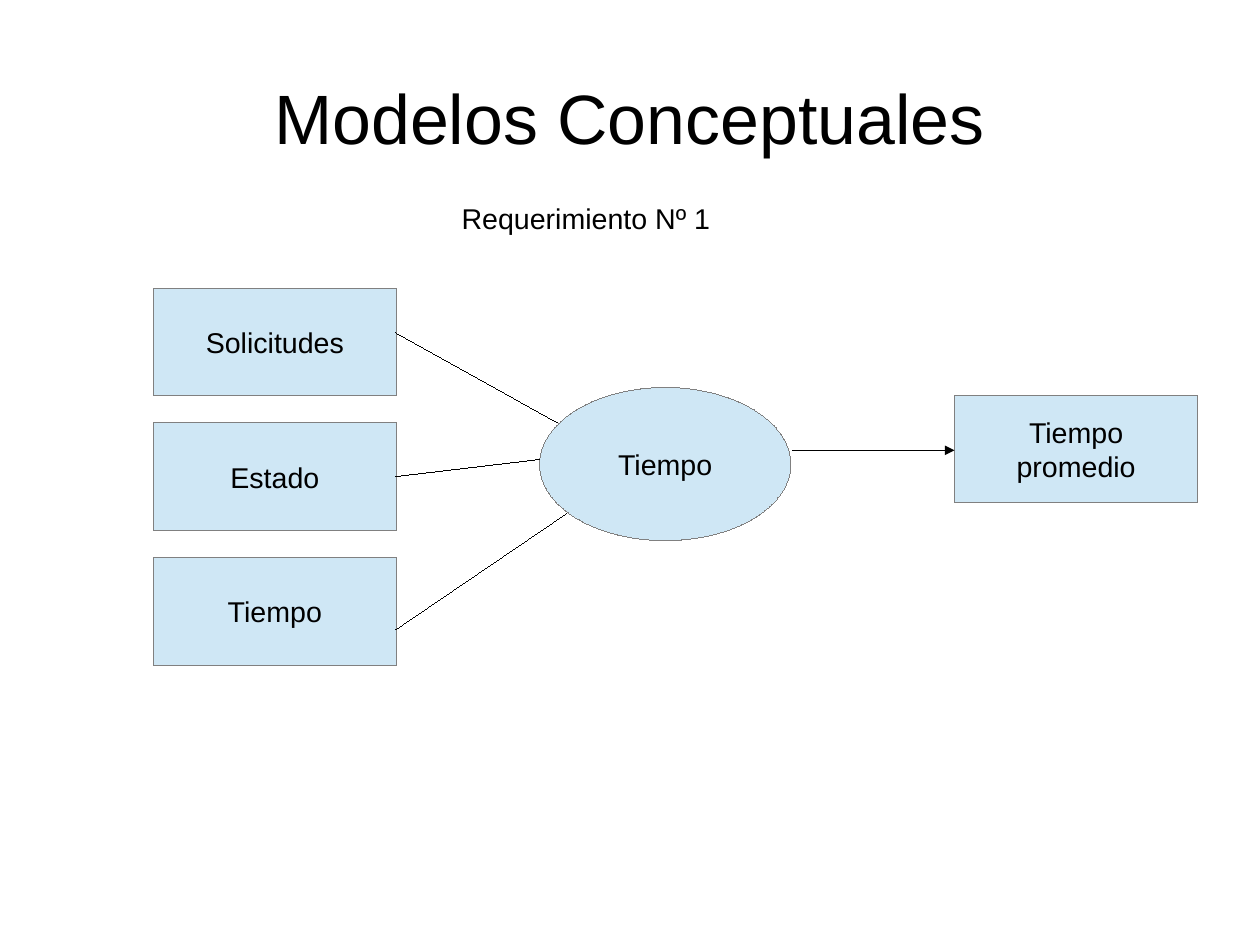
"""Build the conceptual model slide for the first requirement."""
from lxml import etree
from pptx import Presentation
from pptx.dml.color import RGBColor
from pptx.enum import shapes, text
from pptx.oxml import ns
from pptx.util import Inches, Pt

BLACK = RGBColor(0x00, 0x00, 0x00)
GRAY = RGBColor(0x80, 0x80, 0x80)
PALE_BLUE = RGBColor(0xCF, 0xE7, 0xF5)
FONT = "Arial"
CM_PER_INCH = 2.54
BOX_SIZE = (2.13, 0.94)
INPUT_LEFT, INPUT_TOP, INPUT_STEP = 1.34, 2.52, 1.18
INPUTS = ("Solicitudes", "Estado", "Tiempo")
INPUT_LINES = (
    (3.46, 2.91, 4.88, 3.7),
    (3.46, 4.17, 4.72, 4.02),
    (3.46, 5.51, 4.96, 4.49),
)


def write(shape, content, size, alignment, anchor):
    """Set the text of a shape and format it."""
    frame = shape.text_frame
    frame.text = content
    frame.vertical_anchor = anchor
    paragraph = frame.paragraphs[0]
    paragraph.alignment = alignment
    font = paragraph.runs[0].font
    font.name = FONT
    font.size = Pt(size)
    font.color.rgb = BLACK
    return frame


def set_hairline(shape, color):
    """Give a shape a hairline that no theme style widens."""
    shape.line.color.rgb = color
    shape.line.width = Pt(0)
    shape.element.remove(shape.element.find(ns.qn("p:style")))


def set_title(slide, content):
    """Place and fill the title placeholder."""
    title = slide.shapes.title
    title.left, title.top = Inches(0.55), Inches(0.33)
    title.width, title.height = Inches(9.92), Inches(1.38)
    frame = write(title, content, 44, text.PP_ALIGN.CENTER, text.MSO_ANCHOR.MIDDLE)
    frame.margin_left = frame.margin_right = Inches(0)
    frame.margin_top = frame.margin_bottom = Inches(0)


def add_subtitle(slide, content):
    """Add the unwrapped line below the title."""
    box = slide.shapes.add_textbox(Inches(3.94), Inches(1.71), Inches(2.37), Inches(0.38))
    frame = write(box, content, 18, text.PP_ALIGN.LEFT, text.MSO_ANCHOR.TOP)
    frame.word_wrap = False
    frame.auto_size = text.MSO_AUTO_SIZE.SHAPE_TO_FIT_TEXT
    frame.margin_right = Inches(0.05)


def add_node(slide, kind, left, top, size, label):
    """Add one labelled node of the diagram."""
    width, height = size
    node = slide.shapes.add_shape(
        kind, Inches(left), Inches(top), Inches(width), Inches(height)
    )
    node.shadow.inherit = False
    node.fill.solid()
    node.fill.fore_color.rgb = PALE_BLUE
    set_hairline(node, GRAY)
    frame = write(node, label, 18, text.PP_ALIGN.CENTER, text.MSO_ANCHOR.MIDDLE)
    frame.word_wrap = True
    frame.margin_left = frame.margin_right = Inches(0.15)


def add_line(slide, points, arrow=False):
    """Add a hairline between two points, with an arrowhead on request."""
    connector = slide.shapes.add_connector(
        shapes.MSO_CONNECTOR.STRAIGHT, *(Inches(value) for value in points)
    )
    set_hairline(connector, BLACK)
    properties = connector.element.spPr
    etree.SubElement(properties, ns.qn("a:effectLst"))
    if arrow:
        outline = properties.find(ns.qn("a:ln"))
        etree.SubElement(outline, ns.qn("a:tailEnd"), type="triangle")


def main():
    """Build and save the slide."""
    presentation = Presentation()
    presentation.slide_width = Inches(28 / CM_PER_INCH)
    presentation.slide_height = Inches(21 / CM_PER_INCH)
    slide = presentation.slides.add_slide(presentation.slide_layouts[5])
    rectangle, oval = shapes.MSO_SHAPE.RECTANGLE, shapes.MSO_SHAPE.OVAL

    set_title(slide, "Modelos Conceptuales")
    for row, label in enumerate(INPUTS):
        top = INPUT_TOP + row * INPUT_STEP
        add_node(slide, rectangle, INPUT_LEFT, top, BOX_SIZE, label)
    add_node(slide, rectangle, 8.35, 3.46, BOX_SIZE, "Tiempo promedio")
    add_node(slide, oval, 4.72, 3.39, (2.2, 1.34), "Tiempo")
    add_line(slide, (6.93, 3.94, 8.35, 3.94), arrow=True)
    for points in INPUT_LINES:
        add_line(slide, points)
    add_subtitle(slide, "Requerimiento Nº 1")

    presentation.save("out.pptx")


if __name__ == "__main__":
    main()
